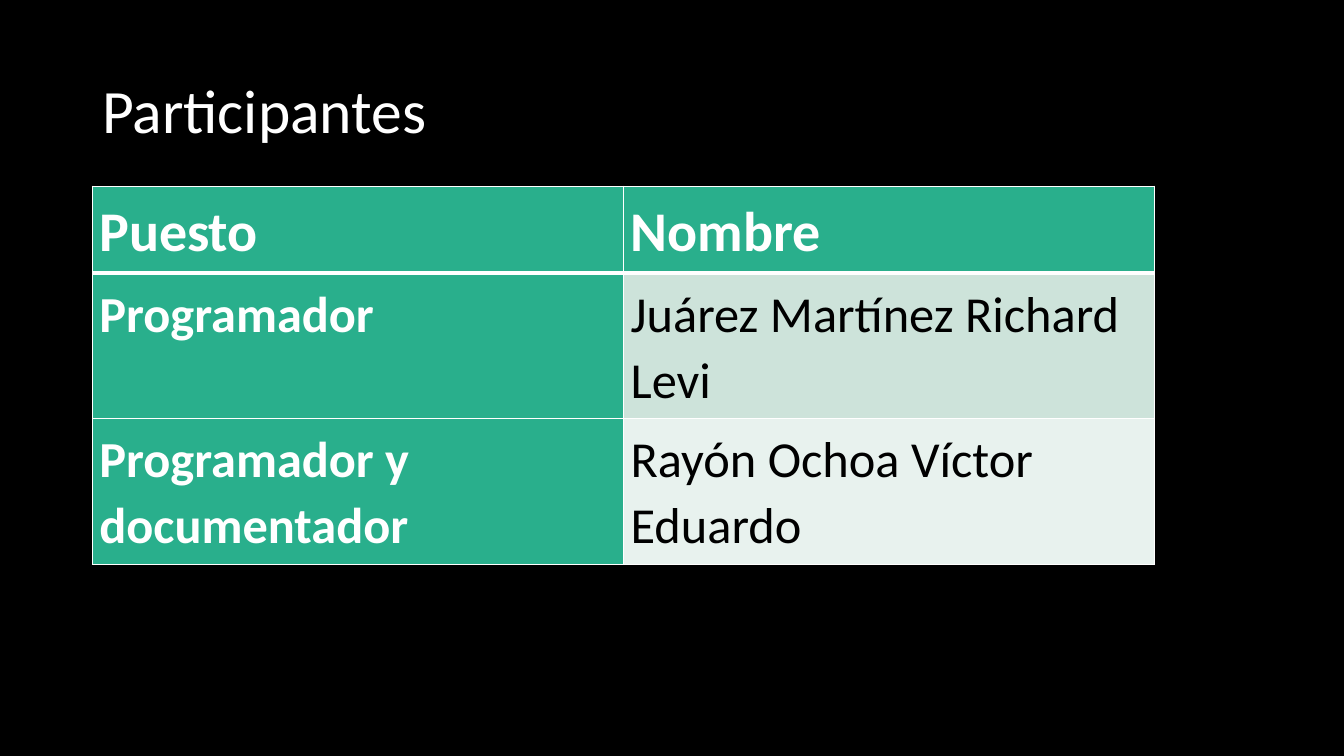
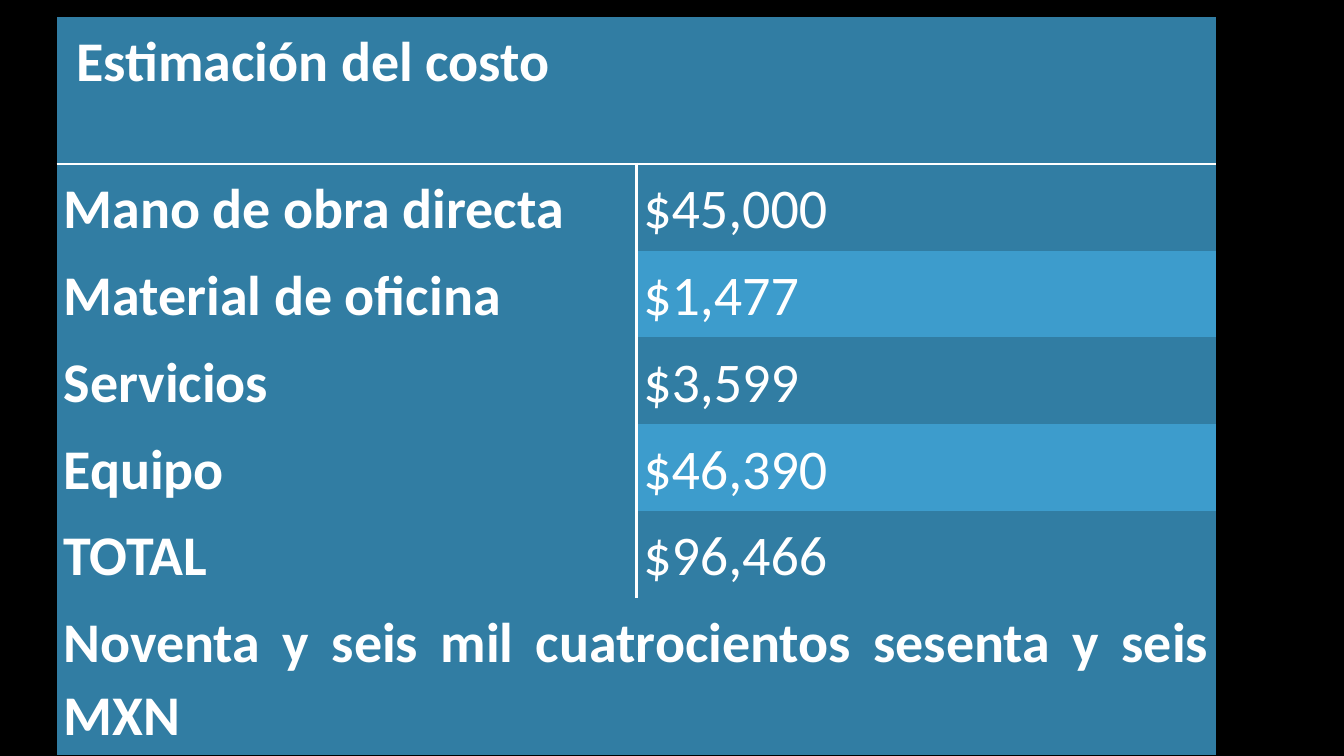
from dataclasses import dataclass

from lxml.etree import SubElement as Sub
from pptx import Presentation as Deck
from pptx.dml.color import RGBColor as RGB
from pptx.enum.text import MSO_ANCHOR as Anchor, PP_ALIGN as Align
from pptx.oxml.ns import qn
from pptx.util import Pt


@dataclass(frozen=True)
class Theme:
    font: str = "Calibri"
    back: str = "000000"
    dark: str = "000000"
    light: str = "FFFFFF"
    green: str = "29AF8C"
    mint: str = "CDE3DA"
    pale: str = "E8F2EE"
    blue: str = "317DA3"
    sky: str = "3D9CCC"
    title: int = 44
    head: int = 40
    body: int = 36
    inset: int = 5
    lead: float = 1.07


class Maker:
    def __init__(self, theme):
        self.theme = theme
        self.deck = Deck()
        self.deck.slide_width, self.deck.slide_height = Pt(960), Pt(540)
        self.slide = None

    def page(self):
        self.slide = self.deck.slides.add_slide(self.deck.slide_layouts[6])
        fill = self.slide.background.fill
        fill.solid()
        fill.fore_color.rgb = RGB.from_string(self.theme.back)

    def label(self, frame, text, size, color, bold=False, align=Align.LEFT, lead=1.0):
        frame.word_wrap = True
        frame.text = text
        para = frame.paragraphs[0]
        para.alignment, para.line_spacing = align, lead
        font = para.runs[0].font
        font.name, font.size, font.bold = self.theme.font, Pt(size), bold
        font.color.rgb = RGB.from_string(color)

    def title(self, text):
        box = self.slide.shapes.add_textbox(Pt(66), Pt(29), Pt(828), Pt(104))
        box.text_frame.vertical_anchor = Anchor.MIDDLE
        self.label(box.text_frame, text, self.theme.title, self.theme.light, lead=0.9)

    def grid(self, left, top, width, highs):
        """Add a plain table of two equal columns."""
        shape = self.slide.shapes.add_table(
            len(highs), 2, Pt(left), Pt(top), Pt(width), Pt(sum(highs)))
        table = shape.table
        table.first_row = table.horz_banding = False
        for row, high in zip(table.rows, highs):
            row.height = Pt(high)
        return table

    def edges(self, cell, widths):
        """Draw the edges named in widths (L, R, T, B) and clear the others."""
        props = cell._tc.get_or_add_tcPr()
        for side in "LRTB":
            width = widths.get(side, 0)
            line = Sub(props, qn(f"a:ln{side}"), w=str(Pt(width)))
            if width:
                paint = Sub(line, qn("a:solidFill"))
                Sub(paint, qn("a:srgbClr"), val=self.theme.light)
            else:
                Sub(line, qn("a:noFill"))

    def cell(self, cell, text, fill, widths, **style):
        pad = Pt(self.theme.inset)
        cell.margin_left = cell.margin_right = pad
        cell.margin_top = cell.margin_bottom = pad
        self.edges(cell, widths)
        cell.fill.solid()
        cell.fill.fore_color.rgb = RGB.from_string(fill)
        if text:
            self.label(cell.text_frame, text, lead=self.theme.lead, **style)


def team(make):
    look = make.theme
    make.page()
    make.title("Participantes")
    rows = [
        ("Puesto", "Nombre"),
        ("Programador", "Juárez Martínez Richard Levi"),
        ("Programador y documentador", "Rayón Ochoa Víctor Eduardo"),
    ]
    fills = [look.green, look.mint, look.pale]
    table = make.grid(66, 133, 759, [62, 104, 104])
    for r, row in enumerate(rows):
        # Thin lines all round, a thick one under the header
        widths = dict.fromkeys("LRTB", 1)
        if r < 2:
            widths["BT"[r]] = 3
        for c, text in enumerate(row):
            strong = r == 0 or c == 0
            make.cell(table.cell(r, c), text, look.green if strong else fills[r], widths,
                      size=look.body if r else look.head,
                      color=look.light if strong else look.dark, bold=strong)


def cost(make):
    look = make.theme
    make.page()
    rows = [
        ("Estimación del costo", ""),
        ("Mano de obra directa", "$45,000"),
        ("Material de oficina", "$1,477"),
        ("Servicios", "$3,599"),
        ("Equipo", "$46,390"),
        ("TOTAL", "$96,466"),
        ("Noventa y seis mil cuatrocientos sesenta y seis MXN", ""),
    ]
    table = make.grid(40.5, 12, 828, [62 if price else 105 for _, price in rows])
    for r, (name, price) in enumerate(rows):
        # One line under the header, one between names and prices
        across = {"BT"[r]: 2} if r < 2 else {}
        for c, text in enumerate((name, price)):
            widths = {**across, "RL"[c]: 2} if price else across
            band = price and c == 1 and r % 2 == 0
            make.cell(table.cell(r, c), text, look.sky if band else look.blue, widths,
                      size=look.head, color=look.light, bold=c == 0, align=Align.JUSTIFY)
        if not price:
            table.cell(r, 0).merge(table.cell(r, 1))
    table.cell(0, 0).margin_left = Pt(look.inset + 9)


def main():
    make = Maker(Theme())
    team(make)
    cost(make)
    make.deck.save("out.pptx")


if __name__ == "__main__":
    main()
